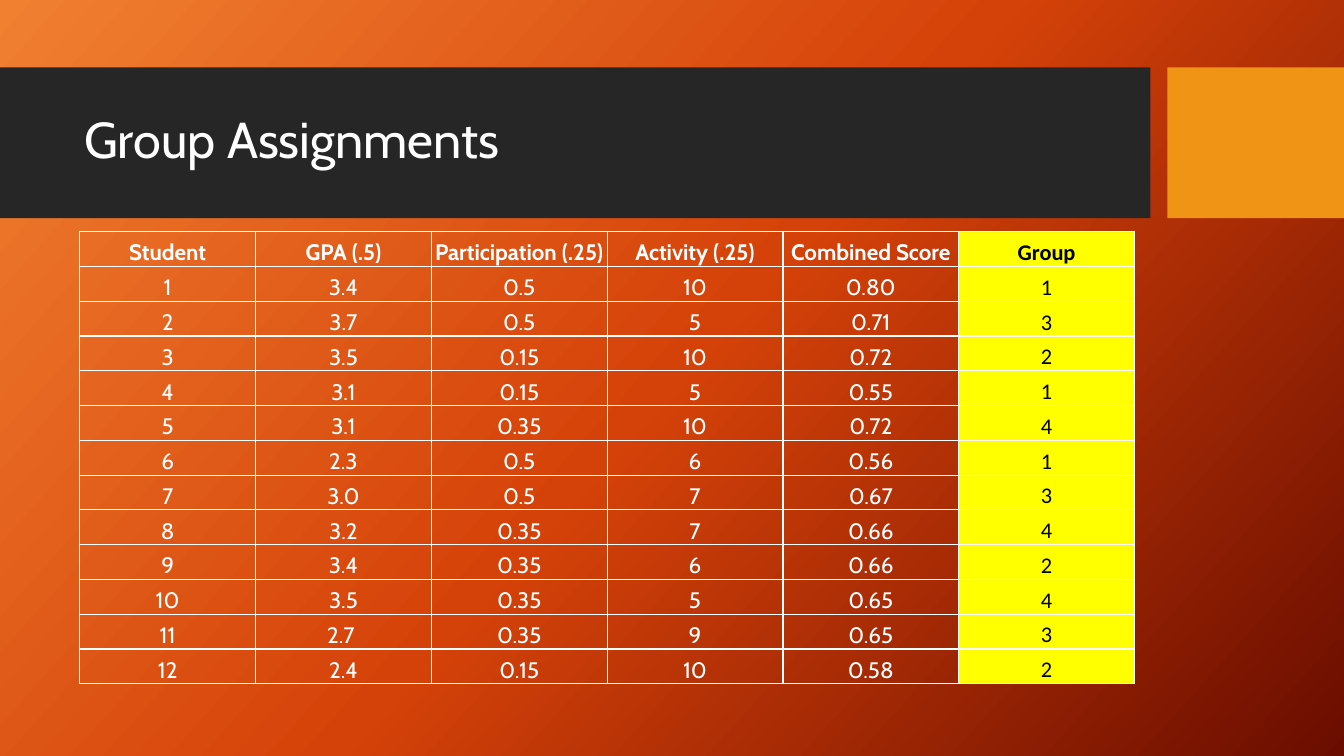
from copy import deepcopy

from lxml.etree import SubElement
from pptx import Presentation
from pptx.dml.color import RGBColor as RGB
from pptx.enum.shapes import MSO_SHAPE as SHAPE
from pptx.enum.text import MSO_ANCHOR as ANCHOR, PP_ALIGN as ALIGN
from pptx.oxml.ns import qn
from pptx.util import Cm, Pt

WHITE = RGB(0xFF, 0xFF, 0xFF)
BLACK = RGB(0x00, 0x00, 0x00)
CHAR = RGB(0x26, 0x26, 0x26)
AMBER = RGB(0xF0, 0x94, 0x15)
YELLOW = RGB(0xFF, 0xFF, 0x00)
GLOW = (RGB(0xF1, 0x80, 0x31), RGB(0xD5, 0x42, 0x09), RGB(0x6A, 0x0D, 0x00))

HEADS = ("Student", "GPA (.5)", "Participation (.25)", "Activity (.25)",
         "Combined Score", "Group")
SCORES = (
    ("3.4", "0.5", "10", "0.80", "1"),
    ("3.7", "0.5", "5", "0.71", "3"),
    ("3.5", "0.15", "10", "0.72", "2"),
    ("3.1", "0.15", "5", "0.55", "1"),
    ("3.1", "0.35", "10", "0.72", "4"),
    ("2.3", "0.5", "6", "0.56", "1"),
    ("3.0", "0.5", "7", "0.67", "3"),
    ("3.2", "0.35", "7", "0.66", "4"),
    ("3.4", "0.35", "6", "0.66", "2"),
    ("3.5", "0.35", "5", "0.65", "4"),
    ("2.7 ", "0.35", "9", "0.65", "3"),
    ("2.4", "0.15", "10", "0.58", "2"),
)


def style(para, face, size, color, bold=False):
    """Set the font of a paragraph."""
    font = para.font
    font.name, font.size, font.bold = face, Pt(size), bold
    font.color.rgb = color


def backdrop(slide):
    """Fill the background with the three-colour glow."""
    fill = slide.background.fill
    fill.gradient()
    fill.gradient_angle = 360 - 42
    stops = slide.element.find(".//" + qn("a:gsLst"))
    stops.append(deepcopy(stops[-1]))
    for i, (stop, color) in enumerate(zip(fill.gradient_stops, GLOW)):
        stop.color.rgb = color
        stop.position = i / 2


def block(slide, left, top, width, height, color):
    """Draw a plain filled rectangle."""
    box = slide.shapes.add_shape(SHAPE.RECTANGLE, Cm(left), Cm(top),
                                 Cm(width), Cm(height))
    box.shadow.inherit = False
    box.fill.solid()
    box.fill.fore_color.rgb = color
    box.line.fill.background()


def banner(slide, left, top, width, height, title):
    """Draw the title band and the amber block at its right."""
    side, gap = 4.45, 0.43
    band = width - side - gap
    block(slide, left, top, band, height, CHAR)
    block(slide, left + band + gap, top, side, height, AMBER)
    box = slide.shapes.add_textbox(Cm(left + 1.88), Cm(top + 0.38),
                                   Cm(band - 2.28), Cm(height - 0.81))
    frame = box.text_frame
    frame.word_wrap = True
    frame.vertical_anchor = ANCHOR.MIDDLE
    frame.text = title
    para = frame.paragraphs[0]
    para.line_spacing = 0.9
    style(para, "Cabin", 36, WHITE)


def edge(cell):
    """Rule all four sides of a cell in white."""
    props = cell._tc.get_or_add_tcPr()
    for i, side in enumerate("LRTB"):
        line = SubElement(props, qn("a:ln" + side), w=str(Pt(1)))
        fill = SubElement(line, qn("a:solidFill"))
        SubElement(fill, qn("a:srgbClr"), val=str(WHITE))
        props.insert(i, line)


def grid(slide, left, top, width, height):
    """Build the table of scores with its group column marked."""
    rows = [HEADS] + [(str(n), *row) for n, row in enumerate(SCORES, 1)]
    table = slide.shapes.add_table(len(rows), len(HEADS), Cm(left), Cm(top),
                                   Cm(width), Cm(height)).table
    table.first_row = table.horz_banding = False
    for r, row in enumerate(rows):
        table.rows[r].height = Cm(height / len(rows))
        for c, text in enumerate(row):
            cell = table.cell(r, c)
            group = c == len(HEADS) - 1
            cell.text = text
            cell.vertical_anchor = ANCHOR.BOTTOM
            cell.margin_left = cell.margin_right = cell.margin_top = Cm(0.02)
            cell.margin_bottom = 0
            para = cell.text_frame.paragraphs[0]
            para.alignment = ALIGN.CENTER
            style(para, "Calibri" if group else "Cabin", 16,
                  BLACK if group else WHITE, r == 0)
            if group:
                cell.fill.solid()
                cell.fill.fore_color.rgb = YELLOW
            else:
                cell.fill.background()
            edge(cell)


def main():
    """Build and save the slide."""
    deck = Presentation()
    deck.slide_width, deck.slide_height = Cm(33.87), Cm(19.05)
    slide = deck.slides.add_slide(deck.slide_layouts[6])
    backdrop(slide)
    banner(slide, 0, 1.7, 33.87, 3.8, "Group Assignments")
    grid(slide, 2.01, 5.84, 26.58, 11.39)
    deck.save("out.pptx")


main()
